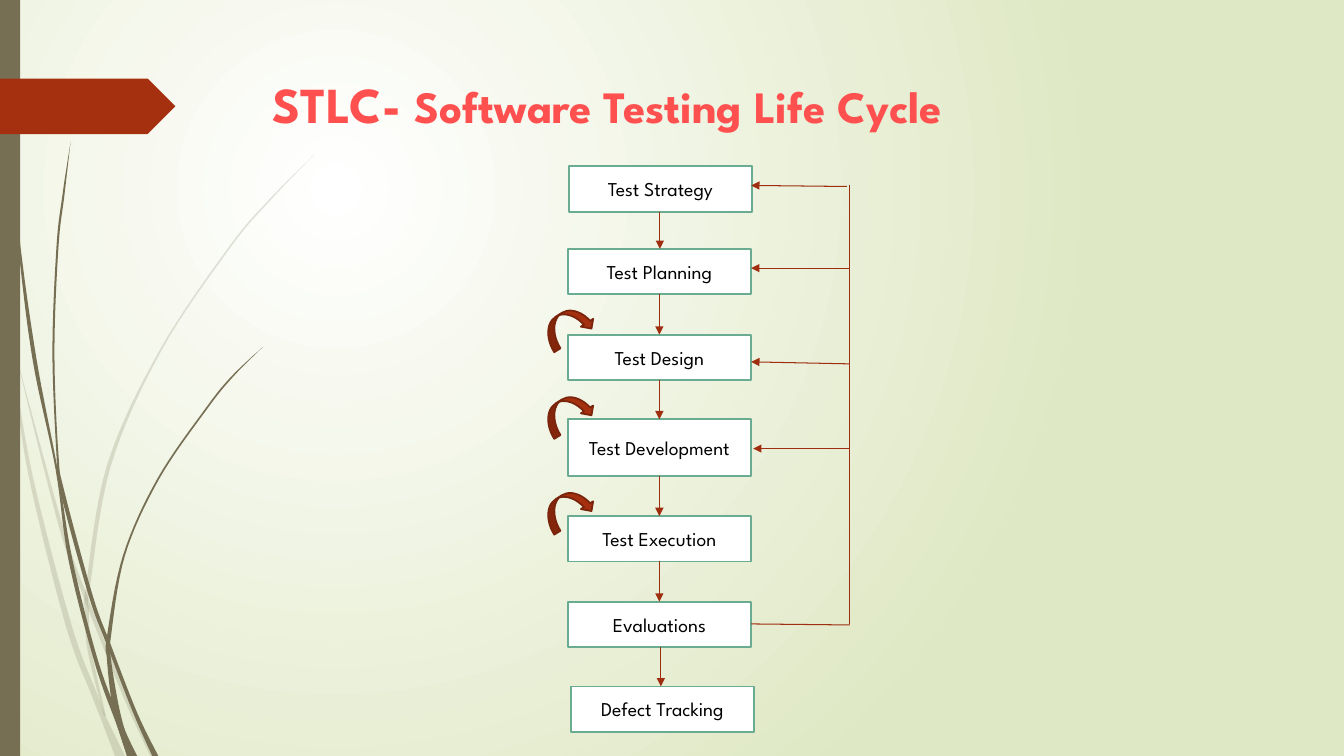
import itertools

import pptx
import pptx.dml.color
import pptx.enum.dml
import pptx.enum.shapes
import pptx.enum.text
import pptx.oxml
import pptx.oxml.ns
import pptx.util

Inches = pptx.util.Inches
Pt = pptx.util.Pt
RGBColor = pptx.dml.color.RGBColor
SHAPE = pptx.enum.shapes.MSO_SHAPE
ANCHOR = pptx.enum.text.MSO_ANCHOR
ALIGN = pptx.enum.text.PP_ALIGN
qn = pptx.oxml.ns.qn

WHITE = RGBColor(0xFF, 0xFF, 0xFF)
BLACK = RGBColor(0x00, 0x00, 0x00)
PALE_GREEN = RGBColor(0xDF, 0xE8, 0xC4)
OLIVE = RGBColor(0x76, 0x6F, 0x54)
RUST = RGBColor(0xA5, 0x30, 0x10)
DARK_RUST = RGBColor(0x7A, 0x24, 0x0C)
ARROW_RED = RGBColor(0x9E, 0x2E, 0x0F)
TITLE_RED = RGBColor(0xFF, 0x50, 0x50)
BOX_GREEN = RGBColor(0x6A, 0xAC, 0x91)

FONT = "League Spartan"
A_NS = 'xmlns:a="http://schemas.openxmlformats.org/drawingml/2006/main"'

# Stalks: points of the centre line as (x, y, half width)
PALE_STALKS = [
    [(0, 2.9, 0.03), (0.11, 3.5, 0.01), (0.3, 4.7, 0.02), (0.68, 6.2, 0.03),
     (0.94, 6.9, 0.03), (1.03, 7.13, 0.03), (1.19, 7.5, 0.05)],
    [(0.14, 3.45, 0), (0.6, 5.21, 0.02), (0.86, 5.95, 0.02),
     (1.25, 6.93, 0.02), (1.52, 7.5, 0.03)],
    [(3.12, 1.53, 0), (2.68, 1.98, 0.01), (2.28, 2.45, 0.01),
     (1.59, 3.48, 0.01), (1.08, 4.62, 0.02), (0.87, 5.84, 0.02),
     (0.86, 6.04, 0.02), (0.89, 6.46, 0.02), (1.04, 7.1, 0.01)],
]
DARK_STALKS = [
    [(0.04, 0, 0), (0.08, 1.1, 0.01), (0.18, 2.33, 0.01),
     (0.34, 3.55, 0.02), (0.56, 4.65, 0.01), (0.7, 5.56, 0.02),
     (0.96, 6.58, 0.02), (1.19, 7.2, 0.03), (1.31, 7.5, 0.05)],
    [(0.7, 1.41, 0), (0.63, 1.93, 0.01), (0.57, 2.45, 0.01),
     (0.53, 3.49, 0.01), (0.57, 4.51, 0.01), (0.62, 4.88, 0.02),
     (0.9, 5.91, 0.02), (1.08, 6.4, 0.02), (1.34, 7.07, 0.02),
     (1.54, 7.5, 0.03)],
    [(2.61, 3.44, 0), (2.31, 3.73, 0.01), (2.05, 4.05, 0.01),
     (1.57, 4.75, 0.01), (1.23, 5.51, 0.01), (1.08, 6.32, 0.02),
     (1.08, 6.53, 0.02), (1.13, 6.91, 0.03), (1.19, 7.18, 0.03),
     (1.29, 7.5, 0.03)],
]

# Stages: text, left, top, height
BOX_WIDTH = 1.82
STAGES = [
    ("Test Strategy", 5.64, 1.65, 0.45),
    ("Test Planning", 5.63, 2.47, 0.45),
    ("Test Design", 5.63, 3.32, 0.45),
    ("Test Development", 5.63, 4.16, 0.56),
    ("Test Execution", 5.63, 5.12, 0.45),
    ("Evaluations", 5.63, 5.97, 0.45),
    ("Defect Tracking", 5.66, 6.81, 0.45),
]
LOOP_TOPS = [3.09, 3.95, 4.9]
FEEDBACK_X = 8.43
BOX_RIGHT = 7.45
# Feedback arrows: start x, start y, end x, end y
FEEDBACK_ARROWS = [
    (8.4, 1.85, BOX_RIGHT, 1.84),
    (FEEDBACK_X, 2.66, BOX_RIGHT, 2.66),
    (FEEDBACK_X, 3.61, BOX_RIGHT, 3.59),
    (FEEDBACK_X, 4.45, 7.47, 4.45),
]


def add_text(paragraph, text, size, color, bold=False, align=None):
    paragraph.alignment = align
    run = paragraph.add_run()
    run.text = text
    run.font.name = FONT
    run.font.size = Pt(size)
    run.font.bold = bold
    run.font.color.rgb = color


def paint(shape, fill, line=None, line_width=1.25):
    shape.shadow.inherit = False
    shape.fill.solid()
    shape.fill.fore_color.rgb = fill
    if line is None:
        shape.line.fill.background()
    else:
        shape.line.color.rgb = line
        shape.line.width = Pt(line_width)


def add_preset(slide, kind, left, top, width, height, fill, line=None):
    shape = slide.shapes.add_shape(
        kind, Inches(left), Inches(top), Inches(width), Inches(height))
    paint(shape, fill, line)
    return shape


def add_line(slide, x1, y1, x2, y2, arrow=True):
    connector = slide.shapes.add_connector(
        pptx.enum.shapes.MSO_CONNECTOR.STRAIGHT,
        Inches(x1), Inches(y1), Inches(x2), Inches(y2))
    connector.line.color.rgb = ARROW_RED
    connector.line.width = Pt(0.75)
    if arrow:
        connector.line._get_or_add_ln().append(
            pptx.oxml.parse_xml(f'<a:tailEnd {A_NS} type="triangle"/>'))
    connector._element.spPr.append(
        pptx.oxml.parse_xml(f"<a:effectLst {A_NS}/>"))


def smooth(points, steps=8):
    """Points of a Catmull-Rom curve through the given points."""
    padded = [points[0], *points, points[-1]]
    curve = []
    for a, b, c, d in zip(padded, padded[1:], padded[2:], padded[3:]):
        for step in range(steps):
            t = step / steps
            curve.append(tuple(
                q + t / 2 * (r - p + t * (2 * p - 5 * q + 4 * r - s
                                          + t * (3 * (q - r) + s - p)))
                for p, q, r, s in zip(a, b, c, d)))
    return curve + [points[-1]]


def add_stalk(slide, points, opacity=None):
    curve = smooth(points)
    right = [(Inches(x + half), Inches(y)) for x, y, half in curve]
    left = [(Inches(x - half), Inches(y)) for x, y, half in reversed(curve)]
    builder = slide.shapes.build_freeform(*right[0])
    builder.add_line_segments(right[1:] + left, close=True)
    stalk = builder.convert_to_shape()
    paint(stalk, OLIVE)
    if opacity is not None:
        stalk._element.spPr.find(".//" + qn("a:srgbClr")).append(
            pptx.oxml.parse_xml(f'<a:alpha {A_NS} val="{opacity * 1000}"/>'))


def add_background(slide):
    fill = slide.background.fill
    fill.gradient()
    for stop, color in zip(fill.gradient_stops, (WHITE, PALE_GREEN)):
        stop.color.rgb = color
    linear = slide._element.find(".//" + qn("a:lin"))
    linear.getparent().replace(linear, pptx.oxml.parse_xml(
        f'<a:path {A_NS} path="circle"><a:fillToRect '
        'l="50000" t="50000" r="100000" b="100000"/></a:path>'))


def add_title(slide):
    title = slide.shapes.title
    title.left, title.top = Inches(2.6), Inches(0.68)
    title.width, title.height = Inches(9.75), Inches(0.97)
    title.text_frame.vertical_anchor = ANCHOR.TOP
    paragraph = title.text_frame.paragraphs[0]
    for text, size in (("STLC- ", 36), ("Software Testing Life Cycle", 32)):
        add_text(paragraph, text, size, TITLE_RED, bold=True, align=ALIGN.LEFT)


def add_stage(slide, text, left, top, height):
    box = add_preset(slide, SHAPE.RECTANGLE, left, top, BOX_WIDTH, height,
                     WHITE, BOX_GREEN)
    box.text_frame.word_wrap = True
    box.text_frame.vertical_anchor = ANCHOR.MIDDLE
    add_text(box.text_frame.paragraphs[0], text, 14, BLACK, align=ALIGN.CENTER)


def main():
    presentation = pptx.Presentation()
    presentation.slide_width = Inches(13.33)
    presentation.slide_height = Inches(7.5)
    slide = presentation.slides.add_slide(presentation.slide_layouts[5])

    # Backdrop
    add_background(slide)
    for points in PALE_STALKS:
        add_stalk(slide, points, opacity=20)
    for points in DARK_STALKS:
        add_stalk(slide, points)
    add_preset(slide, SHAPE.RECTANGLE, 0, 0, 0.2, 7.5, OLIVE)
    add_preset(slide, SHAPE.PENTAGON, 0, 0.78, 1.74, 0.55, RUST)
    add_title(slide)

    # Stages and the arrows between them
    for stage in STAGES:
        add_stage(slide, *stage)
    for upper, lower in itertools.pairwise(STAGES):
        x = (upper[1] + lower[1] + BOX_WIDTH) / 2
        add_line(slide, x, upper[2] + upper[3], x, lower[2])

    # Loops on the left
    for top in LOOP_TOPS:
        loop = add_preset(slide, SHAPE.CURVED_DOWN_ARROW, 5.38, top,
                          0.51, 0.29, RUST, DARK_RUST)
        loop.rotation = 327.6

    # Feedback from the evaluations
    for ends in FEEDBACK_ARROWS:
        add_line(slide, *ends)
    add_line(slide, FEEDBACK_X, 1.84, FEEDBACK_X, 6.19, arrow=False)
    add_line(slide, BOX_RIGHT, 6.19, FEEDBACK_X, 6.2, arrow=False)

    presentation.save("out.pptx")


if __name__ == "__main__":
    main()
